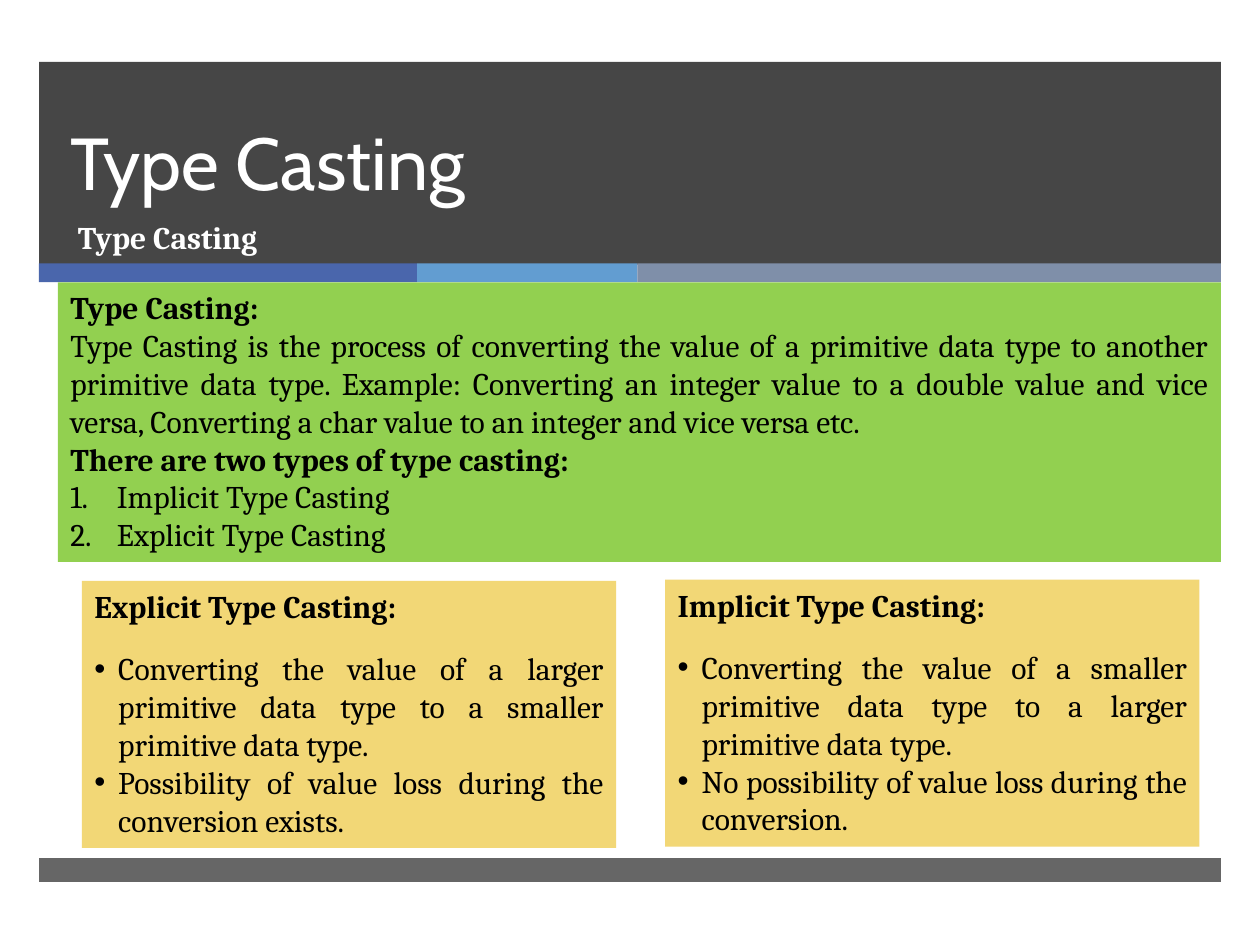
from lxml.etree import SubElement
from pptx import Presentation
from pptx.dml.color import RGBColor
from pptx.enum.shapes import MSO_SHAPE
from pptx.enum.text import MSO_ANCHOR, PP_ALIGN
from pptx.oxml.ns import qn
from pptx.util import Inches, Pt

WHITE = RGBColor(0xFF, 0xFF, 0xFF)
BLACK = RGBColor(0x00, 0x00, 0x00)
CHARCOAL = RGBColor(0x26, 0x26, 0x26)
STRIPE_COLORS = (
    RGBColor(0x4A, 0x66, 0xAC),
    RGBColor(0x62, 0x9D, 0xD1),
    RGBColor(0x7F, 0x8F, 0xA9),
)
GREEN = RGBColor(0x92, 0xD0, 0x50)
YELLOW = RGBColor(0xF2, 0xD7, 0x76)

TITLE_FONT = "Cabin"
BODY_FONT = "Cambria"
BODY_SIZE = Pt(18)
BAND_LEFT, BAND_WIDTH = 0.31, 9.38


def add_rectangle(page, left, top, width, height, color, opacity=100):
    """Add a borderless rectangle; opacity is a percentage."""
    box = page.shapes.add_shape(
        MSO_SHAPE.RECTANGLE, Inches(left), Inches(top), Inches(width), Inches(height)
    )
    box.shadow.inherit = False
    box.fill.solid()
    box.fill.fore_color.rgb = color
    box.line.fill.background()
    if opacity < 100:
        color_element = box.element.spPr.find(qn("a:solidFill"))[0]
        SubElement(color_element, qn("a:alpha"), val=str(opacity * 1000))
    return box


def add_span(para, text, color=BLACK, bold=False, font=BODY_FONT, size=BODY_SIZE):
    span = para.add_run()
    span.text = text
    span.font.name = font
    span.font.size = size
    span.font.bold = bold
    span.font.color.rgb = color


def add_paragraph(frame, text, bold=False, align=PP_ALIGN.LEFT):
    first = frame.paragraphs[0]
    para = frame.add_paragraph() if first.runs else first
    para.alignment = align
    add_span(para, text, bold=bold)
    return para


def set_list_marker(para, indent, number=False):
    """Give a paragraph a hanging indent with a number or a bullet."""
    properties = para._p.get_or_add_pPr()
    properties.set("marL", str(Inches(indent)))
    properties.set("indent", str(-Inches(indent)))
    if number:
        SubElement(properties, qn("a:buFont"), typeface="+mj-lt")
        SubElement(properties, qn("a:buAutoNum"), type="arabicPeriod")
    else:
        SubElement(properties, qn("a:buFont"), typeface="Arial")
        SubElement(properties, qn("a:buChar"), char="•")


def add_panel(page, left, top, width, height, color):
    """Add a filled box and return its text frame."""
    frame = add_rectangle(page, left, top, width, height, color).text_frame
    frame.word_wrap = True
    frame.vertical_anchor = MSO_ANCHOR.TOP
    return frame


def add_bands(page):
    add_rectangle(page, BAND_LEFT, 0.49, BAND_WIDTH, 1.61, CHARCOAL, opacity=85)
    left = BAND_LEFT
    for width, color in zip((3, 1.75, 4.63), STRIPE_COLORS):
        add_rectangle(page, left, 2.09, width, 0.15, color)
        left += width
    add_rectangle(page, BAND_LEFT, 6.81, BAND_WIDTH, 0.19, CHARCOAL, opacity=70)


def add_headings(page):
    title = page.shapes.title
    title.element.getparent().append(title.element)  # in front of the bands
    title.left, title.top = Inches(0.46), Inches(0.49)
    title.width, title.height = Inches(8.54), Inches(1.19)
    title.text_frame.vertical_anchor = MSO_ANCHOR.BOTTOM
    para = title.text_frame.paragraphs[0]
    para.alignment = PP_ALIGN.LEFT
    para.line_spacing = Pt(46)
    add_span(para, "Type Casting", WHITE, font=TITLE_FONT, size=Pt(42))

    subtitle = page.shapes.add_textbox(
        Inches(0.52), Inches(1.68), Inches(8.48), Inches(0.53)
    )
    subtitle.text_frame.word_wrap = True
    add_span(subtitle.text_frame.paragraphs[0], "Type Casting", WHITE, bold=True)


def add_definition(page):
    frame = add_panel(page, 0.46, 2.24, 9.23, 2.22, GREEN)
    add_paragraph(frame, "Type Casting:", bold=True)
    add_paragraph(
        frame,
        "Type Casting is the process of converting the value of a primitive data "
        "type to another primitive data type. Example: Converting an integer value "
        "to a double value and vice versa, Converting a char value to an integer "
        "and vice versa etc.",
        align=PP_ALIGN.JUSTIFY,
    )
    add_paragraph(frame, "There are two types of type casting:", bold=True)
    for kind in ("Implicit", "Explicit"):
        para = add_paragraph(frame, f"{kind} Type Casting")
        set_list_marker(para, 0.37, number=True)


def add_casting_card(page, left, top, heading, points):
    frame = add_panel(page, left, top, 4.24, 2.12, YELLOW)
    add_paragraph(frame, heading, bold=True).space_after = Pt(14)
    for point in points:
        para = add_paragraph(frame, point, align=PP_ALIGN.JUSTIFY)
        set_list_marker(para, 0.19)


def main():
    deck = Presentation()
    deck.slide_width, deck.slide_height = Inches(10), Inches(7.5)
    page = deck.slides.add_slide(deck.slide_layouts.get_by_name("Title Only"))
    add_bands(page)
    add_headings(page)
    add_definition(page)
    add_casting_card(page, 5.28, 4.6, "Implicit Type Casting:", (
        "Converting the value of a smaller primitive data type to a larger "
        "primitive data type.",
        "No possibility of value loss during the conversion.",
    ))
    add_casting_card(page, 0.65, 4.61, "Explicit Type Casting:", (
        "Converting the value of a larger primitive data type to a smaller "
        "primitive data type.",
        "Possibility of value loss during the conversion exists.",
    ))
    deck.save("out.pptx")


if __name__ == "__main__":
    main()
